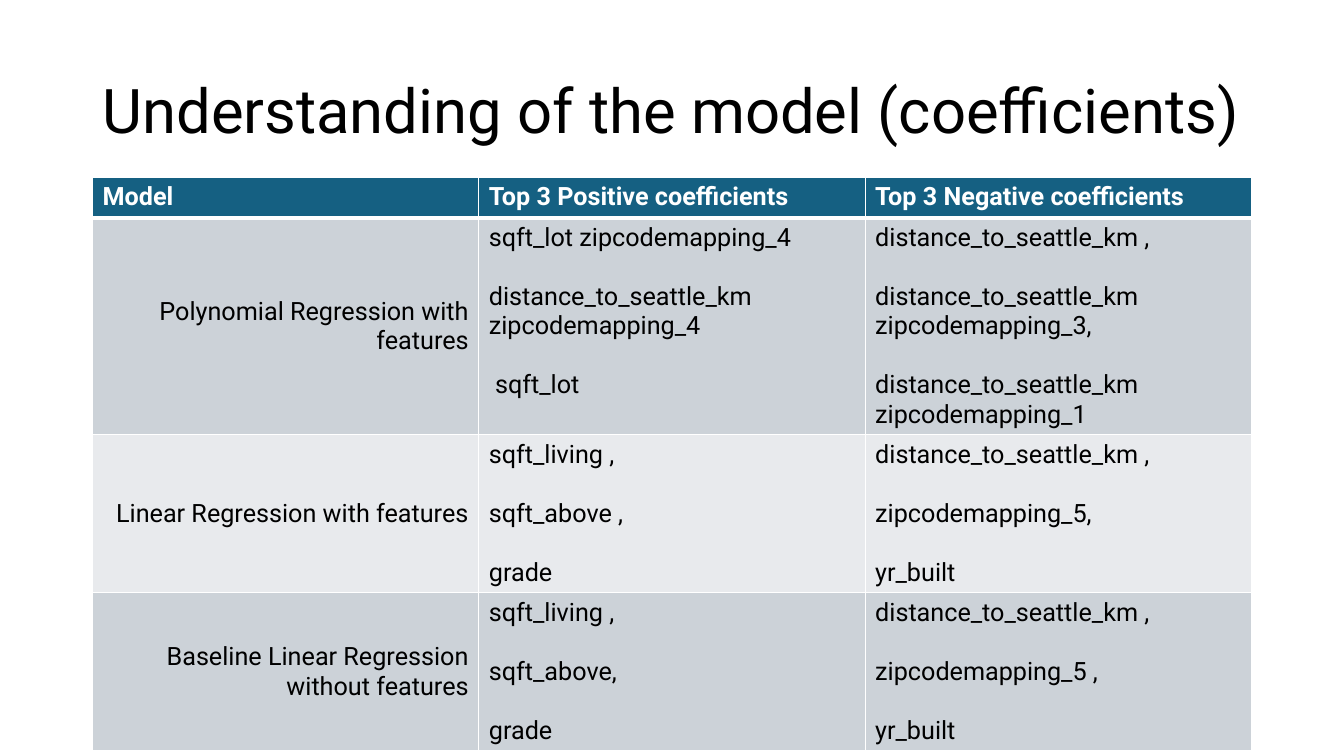
import pptx
import pptx.dml.color
import pptx.enum.text
import pptx.oxml
import pptx.oxml.ns
import pptx.util
from lxml import etree

Cm = pptx.util.Cm
Pt = pptx.util.Pt
RGBColor = pptx.dml.color.RGBColor
PP_ALIGN = pptx.enum.text.PP_ALIGN
MSO_ANCHOR = pptx.enum.text.MSO_ANCHOR

BLACK = RGBColor(0x00, 0x00, 0x00)
WHITE = RGBColor(0xFF, 0xFF, 0xFF)
HEADER_BLUE = RGBColor(0x15, 0x60, 0x82)
BAND_DARK = RGBColor(0xCC, 0xD2, 0xD8)
BAND_LIGHT = RGBColor(0xE8, 0xEA, 0xED)
FONT = "Roboto"
ITEM_GAP = Pt(21.1)

HEADINGS = ["Model", "Top 3 Positive coefficients", "Top 3 Negative coefficients"]
MODELS = [
    (
        "Polynomial Regression with features",
        ["sqft_lot zipcodemapping_4", "distance_to_seattle_km zipcodemapping_4", " sqft_lot"],
        [
            "distance_to_seattle_km ,",
            "distance_to_seattle_km zipcodemapping_3,",
            "distance_to_seattle_km zipcodemapping_1",
        ],
    ),
    (
        "Linear Regression with features",
        ["sqft_living ,", "sqft_above ,", "grade"],
        ["distance_to_seattle_km ,", "zipcodemapping_5,", "yr_built"],
    ),
    (
        "Baseline Linear Regression without features",
        ["sqft_living ,", "sqft_above,", "grade"],
        ["distance_to_seattle_km ,", "zipcodemapping_5 ,", "yr_built"],
    ),
]
ROW_HEIGHTS = [Cm(1.03), Cm(5.46), Cm(3.98), Cm(3.98)]


def add_text(paragraph, text, size, color, bold=False):
    """Add one formatted run to a paragraph."""
    run = paragraph.add_run()
    run.text = text
    run.font.name = FONT
    run.font.size = Pt(size)
    run.font.bold = bold
    run.font.color.rgb = color


def set_borders(cell, top, bottom):
    """Draw white borders around a cell, with top and bottom widths in points."""
    properties = cell._tc.get_or_add_tcPr()
    for side, width in (("L", 1), ("R", 1), ("T", top), ("B", bottom)):
        line = etree.SubElement(properties, pptx.oxml.ns.qn(f"a:ln{side}"), w=str(Pt(width)))
        fill = etree.SubElement(line, pptx.oxml.ns.qn("a:solidFill"))
        etree.SubElement(fill, pptx.oxml.ns.qn("a:srgbClr"), val=str(WHITE))


def fill_cell(cell, items, fill, color, bold=False):
    """Colour a cell and write its items as spaced paragraphs."""
    cell.fill.solid()
    cell.fill.fore_color.rgb = fill
    for index, item in enumerate(items):
        paragraph = cell.text_frame.paragraphs[0] if index == 0 else cell.text_frame.add_paragraph()
        if index:
            paragraph.space_before = ITEM_GAP
        add_text(paragraph, item, 18, color, bold)


def add_title(slide, left, top, width, height):
    """Place the slide title in the given box."""
    title = slide.shapes.title
    title.left, title.top, title.width, title.height = left, top, width, height
    frame = title.text_frame
    frame.word_wrap = True
    frame.auto_size = pptx.enum.text.MSO_AUTO_SIZE.NONE
    frame.vertical_anchor = MSO_ANCHOR.MIDDLE
    paragraph = frame.paragraphs[0]
    paragraph.alignment = PP_ALIGN.LEFT
    paragraph.line_spacing = 0.9
    add_text(paragraph, "Understanding of the model (coefficients)", 44, BLACK)


def add_coefficient_table(slide, left, top, width):
    """Place the table of models and their strongest coefficients."""
    shape = slide.shapes.add_table(
        len(MODELS) + 1, len(HEADINGS), left, top, width, sum(ROW_HEIGHTS)
    )
    table = shape.table
    for row, height in zip(table.rows, ROW_HEIGHTS):
        row.height = height
    for column in table.columns:
        column.width = width // len(HEADINGS)

    for cell, heading in zip(table.rows[0].cells, HEADINGS):
        set_borders(cell, 1, 3)
        fill_cell(cell, [heading], HEADER_BLUE, WHITE, bold=True)
    for index, (model, positive, negative) in enumerate(MODELS):
        cells = list(table.rows[index + 1].cells)
        band = BAND_LIGHT if index % 2 else BAND_DARK
        for cell, items in zip(cells, ([model], positive, negative)):
            set_borders(cell, 1 if index else 3, 1)
            fill_cell(cell, items, band, BLACK)
        cells[0].vertical_anchor = MSO_ANCHOR.MIDDLE
        cells[0].text_frame.paragraphs[0].alignment = PP_ALIGN.RIGHT


def main():
    """Build the coefficients slide and save it."""
    presentation = pptx.Presentation()
    presentation.slide_width = Cm(33.87)
    presentation.slide_height = Cm(19.05)
    slide = presentation.slides.add_slide(presentation.slide_layouts[5])
    left, width = Cm(2.33), Cm(29.21)
    add_title(slide, left, Cm(1.01), width, Cm(3.68))
    add_coefficient_table(slide, left, Cm(4.46), width)
    presentation.save("out.pptx")


if __name__ == "__main__":
    main()
